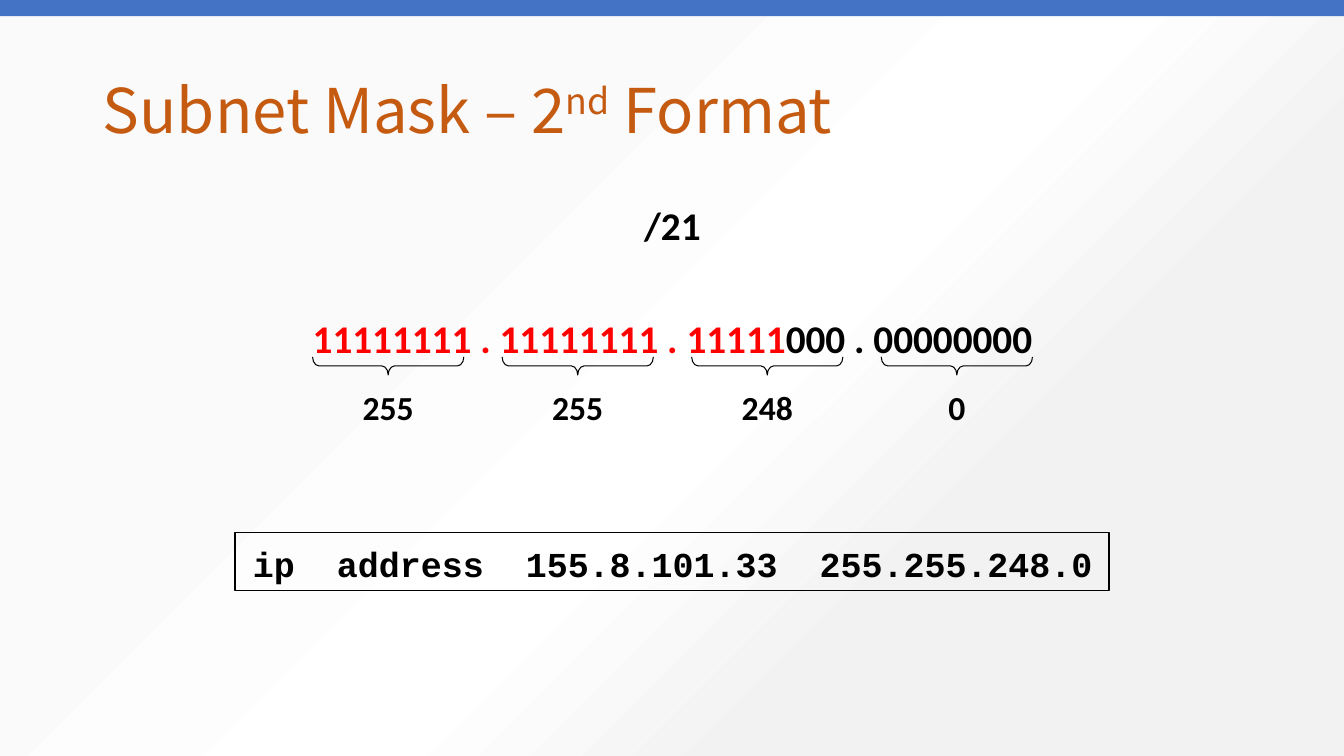
"""Build the slide that explains the second format of a subnet mask."""
from lxml import etree
from pptx import Presentation
from pptx.dml.color import RGBColor
from pptx.enum.shapes import MSO_SHAPE
from pptx.enum.text import MSO_ANCHOR, PP_ALIGN
from pptx.util import Inches, Pt

RECTANGLE, BRACE = MSO_SHAPE.RECTANGLE, MSO_SHAPE.RIGHT_BRACE
MIDDLE, TOP = MSO_ANCHOR.MIDDLE, MSO_ANCHOR.TOP
LEFT, CENTER = PP_ALIGN.LEFT, PP_ALIGN.CENTER
COLORS = {"title": "C55A11", "network": "FF0000", "ink": "000000", "bar": "4472C4"}
BACKDROP = [(29, "FAFAFA"), (54, "FFFFFF"), (71, "F2F2F2"), (87, "F2F2F2")]
WIDTH, HEIGHT = 13.33, 7.5
MARGIN = 0.92
OCTETS = ["255", "255", "248", "0"]
FIRST_OCTET, OCTET_PITCH = 3.85, 1.88
BRACE_WIDTH, BRACE_LENGTH, BRACE_MIDDLE = 0.18, 1.5, 3.63
LABEL_WIDTH = 0.71


def set_font(font, name, size, color, bold=True):
    font.name, font.size, font.bold = name, Pt(size), bold
    font.color.rgb = RGBColor.from_string(COLORS[color])


def add_outline(kind, left, top, width, height, weight):
    shape = page.shapes.add_shape(
        kind, Inches(left), Inches(top), Inches(width), Inches(height))
    shape.shadow.inherit = False
    shape.fill.background()
    shape.line.color.rgb = RGBColor.from_string(COLORS["ink"])
    shape.line.width = Pt(weight)
    return shape


deck = Presentation()
deck.slide_width, deck.slide_height = Inches(WIDTH), Inches(HEIGHT)
page = deck.slides.add_slide(deck.slide_layouts[5])

backdrop = page.background.fill
backdrop.gradient()
gradient = page.background._cSld.bg.bgPr[0]
for part in list(gradient):
    gradient.remove(part)
namespace = "{http://schemas.openxmlformats.org/drawingml/2006/main}"
stops = etree.SubElement(gradient, namespace + "gsLst")
for percent, color in BACKDROP:
    stop = etree.SubElement(stops, namespace + "gs", pos=str(percent * 1000))
    etree.SubElement(stop, namespace + "srgbClr", val=color)
etree.SubElement(gradient, namespace + "lin", ang="2700000", scaled="0")

title = page.shapes.title
title.left, title.top = Inches(MARGIN), Inches(0.4)
title.width, title.height = Inches(11.5), Inches(1.45)
title.text_frame.vertical_anchor = MIDDLE
para = title.text_frame.paragraphs[0]
para.alignment, para.line_spacing = LEFT, 0.9
set_font(para.font, "Noto Sans CJK SC", 44, "title", bold=False)
for text, baseline in [("Subnet Mask – 2", 0), ("nd", 30000), (" Format", 0)]:
    span = para.add_run()
    span.text = text
    span.font._element.set("baseline", str(baseline))

body = page.shapes.add_textbox(Inches(MARGIN), Inches(2), Inches(11.5), Inches(4.76))
body.text_frame.word_wrap = True
body.text_frame.vertical_anchor = TOP
lines = [
    (10, "Calibri", 28, [("/21", "ink")]),
    (50.8, "Calibri", 28, [("11111111 . 11111111 . 11111", "network"),
                           ("000 . 00000000", "ink")]),
    (132.4, "Courier New", 25, [("ip  address  155.8.101.33  255.255.248.0", "ink")]),
]
for index, (space, font_name, size, spans) in enumerate(lines):
    para = body.text_frame.add_paragraph() if index else body.text_frame.paragraphs[0]
    para.alignment, para.line_spacing, para.space_before = CENTER, 0.9, Pt(space)
    set_font(para.font, font_name, size, "ink")
    for text, color in spans:
        span = para.add_run()
        span.text = text
        span.font.color.rgb = RGBColor.from_string(COLORS[color])

bar = page.shapes.add_shape(RECTANGLE, 0, 0, Inches(WIDTH), Inches(0.16))
bar.shadow.inherit = False
bar.fill.solid()
bar.fill.fore_color.rgb = RGBColor.from_string(COLORS["bar"])
bar.line.fill.background()

for index, octet in enumerate(OCTETS):
    center = FIRST_OCTET + index * OCTET_PITCH
    brace = add_outline(BRACE, center - BRACE_WIDTH / 2, BRACE_MIDDLE - BRACE_LENGTH / 2,
                        BRACE_WIDTH, BRACE_LENGTH, 0.75)
    brace.rotation = 90
    brace.adjustments[0] = 0.35
    label = page.shapes.add_textbox(Inches(center - LABEL_WIDTH / 2), Inches(3.79),
                                    Inches(LABEL_WIDTH), Inches(0.5))
    label.text_frame.word_wrap = False
    para = label.text_frame.paragraphs[0]
    para.text, para.alignment = octet, CENTER
    set_font(para.font, "Calibri", 24, "ink")

add_outline(RECTANGLE, 2.33, 5.28, 8.67, 0.58, 1)

deck.save("out.pptx")
